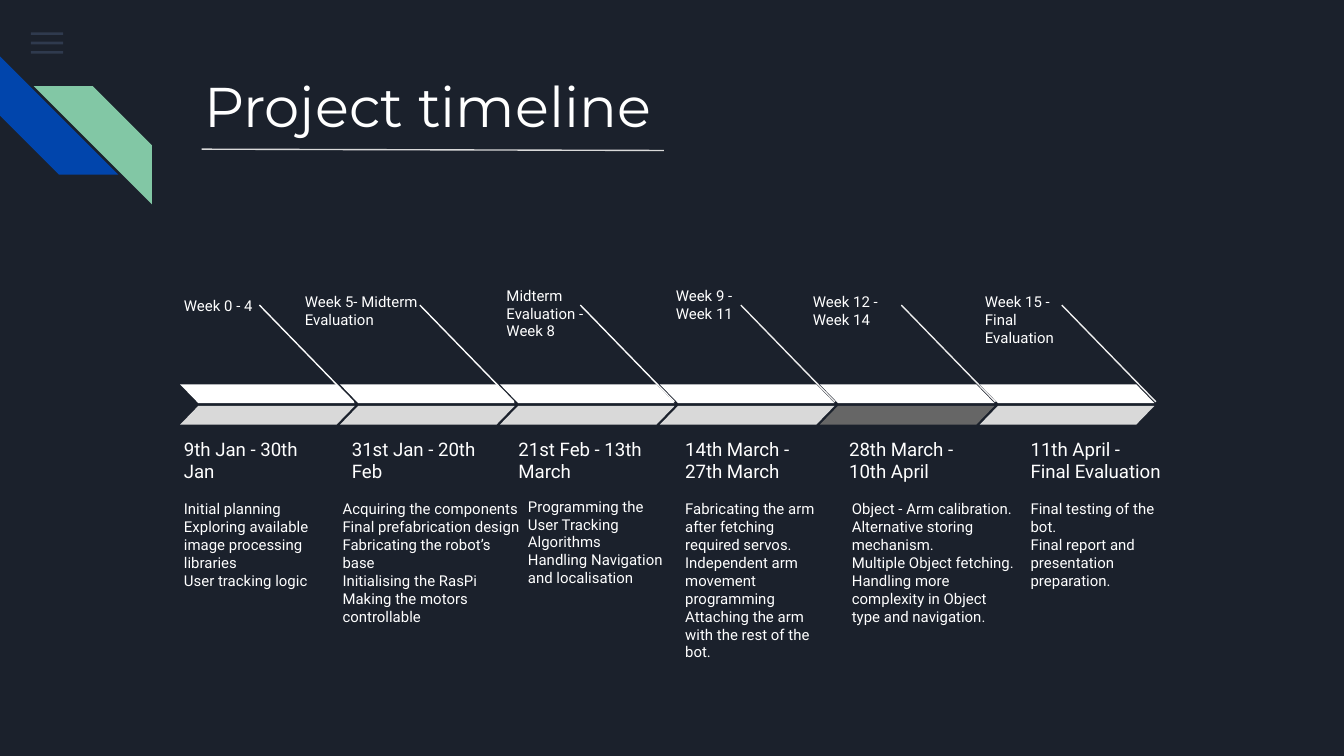
from lxml import etree
from pptx import Presentation
from pptx.dml.color import RGBColor
from pptx.enum.shapes import MSO_CONNECTOR, MSO_SHAPE
from pptx.enum.text import MSO_ANCHOR as ANCHOR, MSO_AUTO_SIZE, PP_ALIGN
from pptx.oxml.ns import qn
from pptx.util import Inches, Pt

WHITE, SILVER, PALE = "FFFFFF", "D9D9D9", "EFEFEF"

PHASES = [
    {"week": ("Week 0 - 4", 1.27, 2.11, 0.91),
     "dates": ("9th Jan - 30th Jan", 1.27, 3.25, 1.28),
     "tasks": ("Initial planning\nExploring available image processing libraries\n"
               "User tracking logic", 1.27, 3.62, 1.28),
     "line": WHITE, "bar": SILVER},
    {"week": ("Week 5- Midterm Evaluation", 2.17, 2.08, 1.24),
     "dates": ("31st Jan - 20th Feb", 2.52, 3.25, 1.24),
     "tasks": ("Acquiring the components\nFinal prefabrication design\n"
               "Fabricating the robot’s base\nInitialising the RasPi\n"
               "Making the motors controllable", 2.45, 3.62, 1.55),
     "line": WHITE, "bar": SILVER},
    {"week": ("Midterm Evaluation - Week 8", 3.67, 2.03, 1.01),
     "dates": ("21st Feb - 13th March", 3.76, 3.25, 1.24),
     "tasks": ("Programming the User Tracking Algorithms\n"
               "Handling Navigation and localisation", 3.83, 3.6, 1.24),
     "line": WHITE, "bar": SILVER},
    {"week": ("Week 9 - Week 11", 4.93, 2.03, 0.82),
     "dates": ("14th March - 27th March", 5, 3.25, 1.24),
     "tasks": ("Fabricating the arm after fetching required servos.\n"
               "Independent arm movement programming\n"
               "Attaching the arm with the rest of the bot.", 5, 3.62, 1.24),
     "line": PALE, "bar": SILVER},
    {"week": ("Week 12 - Week 14", 5.95, 2.08, 0.91),
     "dates": ("28th March - 10th April", 6.22, 3.25, 1.24),
     "tasks": ("Object - Arm calibration.\nAlternative storing mechanism.\n"
               "Multiple Object fetching.\n"
               "Handling more complexity in Object type and navigation.", 6.24, 3.62, 1.43),
     "line": PALE, "bar": "666666"},
    {"week": ("Week 15 - Final Evaluation", 7.23, 2.08, 0.82),
     "dates": ("11th April -\nFinal Evaluation", 7.57, 3.25, 1.24),
     "tasks": ("Final testing of the bot.\nFinal report and presentation preparation.",
               7.57, 3.62, 1.24),
     "line": PALE, "bar": SILVER},
]
BAR_LEFT, BAR_STEP = 1.34, 1.19
LINE_LEFT, LINE_STEP = 1.93, (7.9 - 1.93) / 5


def color(value):
    return RGBColor.from_string(value)


def style_text(frame, size, font, anchor=ANCHOR.TOP):
    frame.word_wrap = True
    frame.auto_size = MSO_AUTO_SIZE.NONE
    frame.vertical_anchor = anchor
    frame.margin_left = frame.margin_right = Inches(0.1)
    frame.margin_top = frame.margin_bottom = Inches(0.1)
    for para in frame.paragraphs:
        para.alignment = PP_ALIGN.LEFT
        para.line_spacing = 1.0
        for span in para.runs:
            span.font.size = Pt(size)
            span.font.name = font
            span.font.color.rgb = color(WHITE)


def add_text(page, text, left, top, width, height, size, anchor=ANCHOR.TOP):
    box = page.shapes.add_textbox(*map(Inches, (left, top, width, height)))
    box.text_frame.paragraphs[0].text = text
    style_text(box.text_frame, size, "Roboto", anchor)


def add_block(page, kind, left, top, width, height, fill, adjust=None, flip=False):
    shape = page.shapes.add_shape(kind, *map(Inches, (left, top, width, height)))
    shape.shadow.inherit = False
    shape.fill.solid()
    shape.fill.fore_color.rgb = color(fill)
    shape.line.fill.background()
    if adjust is not None:
        shape.adjustments[0] = adjust
    if flip:
        shape._element.spPr.xfrm.set("flipH", "1")
    return shape


def add_line(page, start, end, stroke):
    line = page.shapes.add_connector(MSO_CONNECTOR.STRAIGHT, *map(Inches, start + end))
    line.line.color.rgb = color(stroke)
    line.line.width = Pt(0.75)
    etree.SubElement(line._element.spPr, qn("a:effectLst"))


def add_decoration(page):
    for row in range(3):
        stroke = add_block(page, MSO_SHAPE.RECTANGLE, 0.23, 0.24 + 0.07 * row,
                           0.24, 0.02, "55688B")
        tint = stroke._element.spPr.find(".//" + qn("a:srgbClr"))
        etree.SubElement(tint, qn("a:alpha"), val="36000")
    stripe = MSO_SHAPE.DIAGONAL_STRIPE
    blue = add_block(page, stripe, 0, 0.42, 0.88, 0.88, "0145AC", 0.5)
    blue.rotation = 270
    add_block(page, stripe, 0.25, 0.64, 0.88, 0.88, "82C7A5", 0.5, flip=True)


def add_title(page):
    title = page.shapes.title
    title.left, title.top, title.width, title.height = map(Inches, (1.42, 0.43, 7.7, 1))
    title.text_frame.text = "Project timeline"
    style_text(title.text_frame, 30, "Montserrat")
    add_line(page, (1.5, 1.11), (4.94, 1.12), SILVER)


def add_phase(page, index, phase):
    add_text(page, *phase["week"], 0.23, 8)
    add_text(page, *phase["dates"], 0.44, 10, ANCHOR.BOTTOM)
    add_text(page, *phase["tasks"], 0.73, 8)
    start = LINE_LEFT + LINE_STEP * index
    add_line(page, (start, 2.27), (start + 0.7, 2.99), phase["line"])
    left = BAR_LEFT + BAR_STEP * index
    for top, fill, flip in ((2.86, WHITE, True), (3.02, phase["bar"], False)):
        add_block(page, MSO_SHAPE.PARALLELOGRAM, left, top, 1.3, 0.14, fill, 0.97, flip)


def main():
    deck = Presentation()
    deck.slide_width = Inches(10)
    deck.slide_height = deck.slide_width * 9 // 16
    page = deck.slides.add_slide(deck.slide_layouts[5])
    page.background.fill.solid()
    page.background.fill.fore_color.rgb = color("1B212C")
    add_decoration(page)
    add_title(page)
    for index, phase in enumerate(PHASES):
        add_phase(page, index, phase)
    deck.save("out.pptx")


if __name__ == "__main__":
    main()
